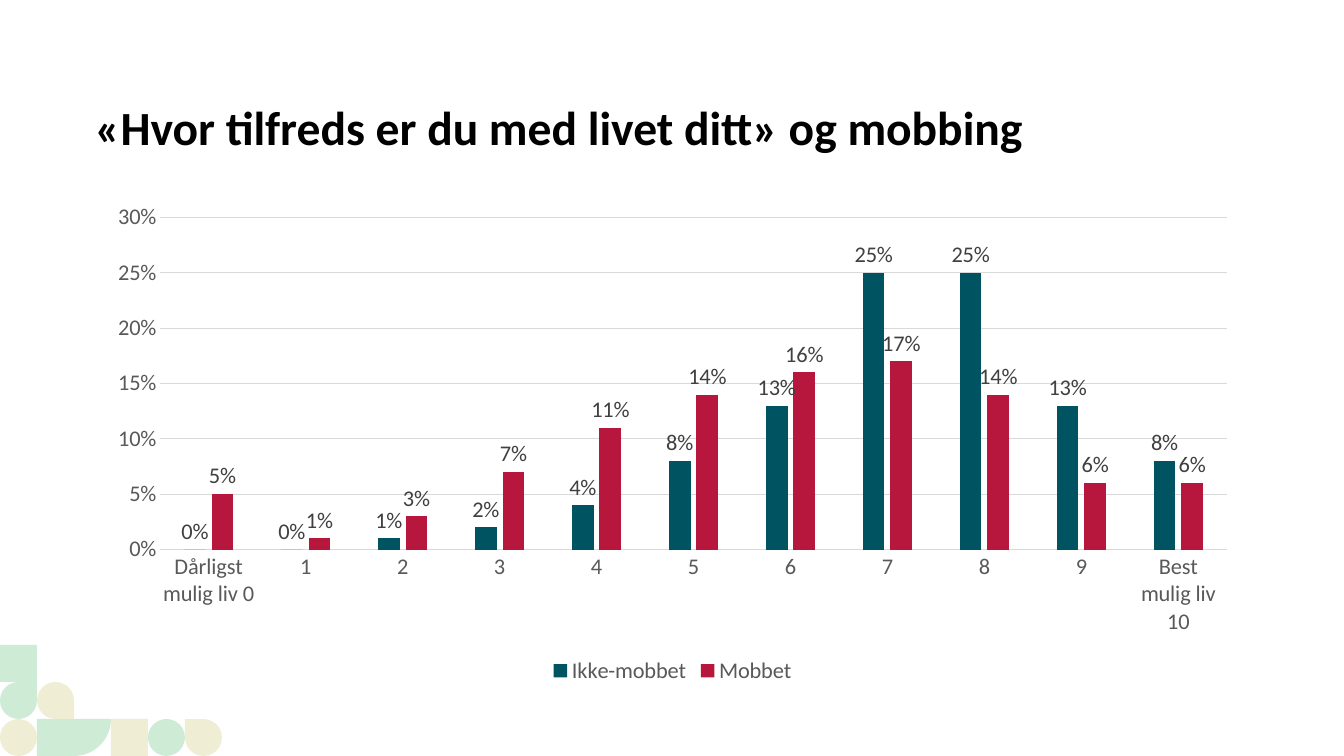
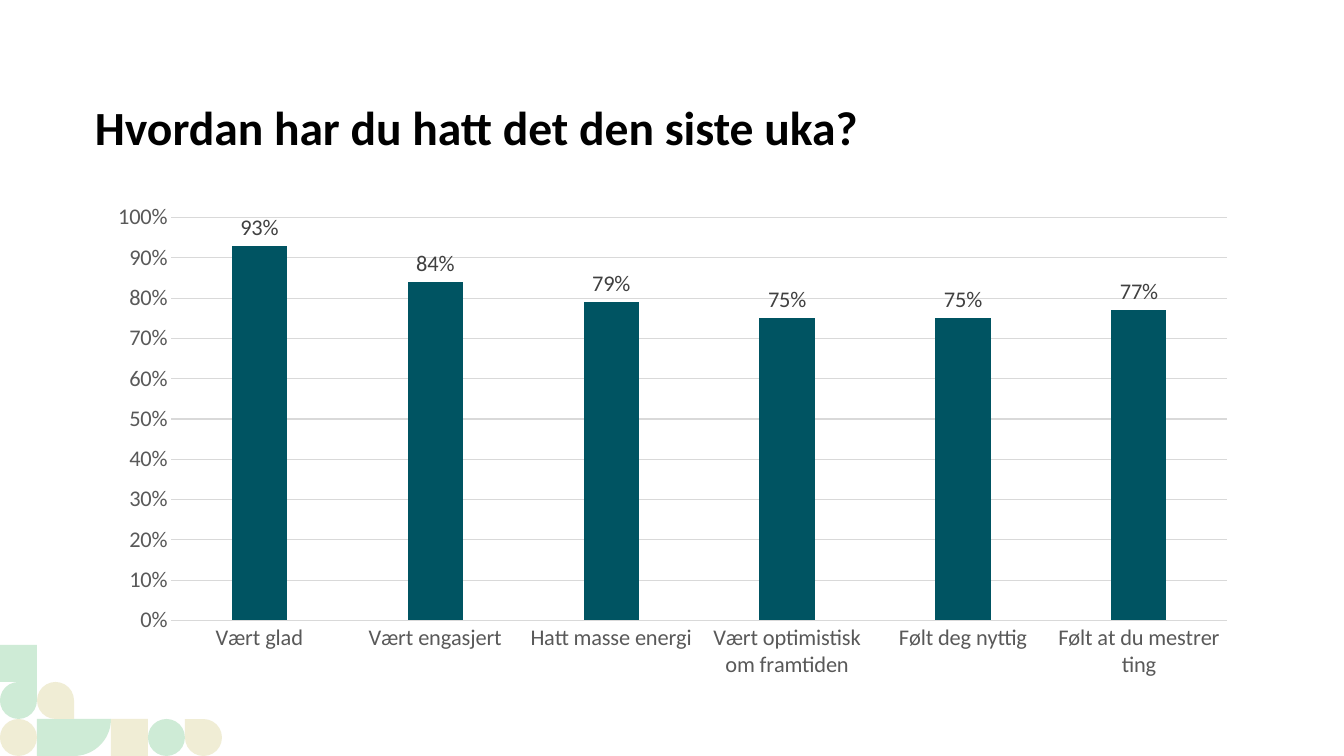
import math

import pptx
import pptx.chart.data
import pptx.dml.color
import pptx.enum.chart
import pptx.enum.shapes
import pptx.enum.text
import pptx.util

# Shared measures and styles
EMU_PER_PX = 914400 / 100.8
SLIDE_WIDTH, SLIDE_HEIGHT = 1344, 756
TITLE_AREA = (95, 98, 1155, 57)
CHART_AREA = (95, 194, 1155, 495)
TILE = 37
FONT = "Calibri"

RGBColor = pptx.dml.color.RGBColor
BLACK = RGBColor(0x00, 0x00, 0x00)
LABEL_GREY = RGBColor(0x40, 0x40, 0x40)
AXIS_GREY = RGBColor(0x59, 0x59, 0x59)
LINE_GREY = RGBColor(0xD9, 0xD9, 0xD9)
TEAL = RGBColor(0x00, 0x54, 0x62)
CRIMSON = RGBColor(0xB7, 0x17, 0x3D)
MINT = RGBColor(0xCE, 0xEB, 0xD6)
SAND = RGBColor(0xF0, 0xED, 0xD5)

SHAPE = pptx.enum.shapes.MSO_SHAPE
# Corner tiles: column, row counted up from the bottom, shape, colour, rotation
TILES = [
    (3, 0, SHAPE.RECTANGLE, SAND, 0),
    (0, 0, SHAPE.OVAL, SAND, 0),
    (4, 0, SHAPE.OVAL, MINT, 0),
    (0, 2, SHAPE.RECTANGLE, MINT, 0),
    (0, 1, SHAPE.TEAR, MINT, 0),
    (1, 1, SHAPE.TEAR, SAND, 90),
    (5, 0, SHAPE.TEAR, SAND, 270),
]


def px(length):
    return pptx.util.Emu(round(length * EMU_PER_PX))


def style_font(font, size, color, bold=False):
    font.name = FONT
    font.size = pptx.util.Pt(size)
    font.bold = bold
    font.color.rgb = color


def style_line(line, color):
    line.color.rgb = color
    line.width = pptx.util.Pt(0.75)


def paint(shape, color):
    shape.fill.solid()
    shape.fill.fore_color.rgb = color
    shape.line.fill.background()
    shape.shadow.inherit = False


def add_corner_pattern(page):
    shapes = page.shapes.add_group_shape().shapes
    # Two-tile wide piece with a rounded lower right corner
    left, top = TILE, SLIDE_HEIGHT - TILE
    center = left + TILE
    angles = [math.radians(degrees) for degrees in range(0, 91, 5)]
    points = [(center + TILE * math.cos(a), top + TILE * math.sin(a)) for a in angles]
    points.append((left, SLIDE_HEIGHT))
    builder = shapes.build_freeform(px(left), px(top))
    builder.add_line_segments([(px(x), px(y)) for x, y in points], close=True)
    paint(builder.convert_to_shape(), MINT)

    for column, row, kind, color, rotation in TILES:
        tile = shapes.add_shape(kind, px(column * TILE), px(SLIDE_HEIGHT - (row + 1) * TILE),
                                px(TILE), px(TILE))
        tile.rotation = rotation
        paint(tile, color)


def add_title(page, text):
    frame = page.shapes.add_textbox(*map(px, TITLE_AREA)).text_frame
    frame.word_wrap = True
    frame.vertical_anchor = pptx.enum.text.MSO_ANCHOR.BOTTOM
    frame.margin_left = frame.margin_top = frame.margin_right = frame.margin_bottom = 0
    para = frame.paragraphs[0]
    para.text = text
    style_font(para.font, 34, BLACK, bold=True)


def style_axes(chart, top_value, step, number_format):
    for axis in (chart.category_axis, chart.value_axis):
        axis.major_tick_mark = axis.minor_tick_mark = pptx.enum.chart.XL_TICK_MARK.NONE
        style_font(axis.tick_labels.font, 16, AXIS_GREY)
    chart.category_axis.has_major_gridlines = False
    style_line(chart.category_axis.format.line, LINE_GREY)

    values = chart.value_axis
    values.minimum_scale, values.maximum_scale, values.major_unit = 0, top_value, step
    values.has_major_gridlines = True
    style_line(values.major_gridlines.format.line, LINE_GREY)
    values.format.line.fill.background()
    values.tick_labels.number_format = number_format
    values.tick_labels.number_format_is_linked = False


def style_series(series, color, number_format):
    series.format.fill.solid()
    series.format.fill.fore_color.rgb = color
    series.invert_if_negative = False
    labels = series.data_labels
    labels.show_value = True
    labels.position = pptx.enum.chart.XL_LABEL_POSITION.OUTSIDE_END
    labels.number_format = number_format
    labels.number_format_is_linked = False
    style_font(labels.font, 16, LABEL_GREY)


def add_column_chart(page, categories, series_values, top_value, step, number_format):
    data = pptx.chart.data.CategoryChartData(number_format=number_format)
    data.categories = categories
    for name, percents in series_values.items():
        data.add_series(name, [percent / 100 for percent in percents])
    chart = page.shapes.add_chart(pptx.enum.chart.XL_CHART_TYPE.COLUMN_CLUSTERED,
                                  *map(px, CHART_AREA), data).chart
    chart.has_title = False
    style_font(chart.font, 16, BLACK)
    style_axes(chart, top_value, step, number_format)

    plot = chart.plots[0]
    plot.gap_width, plot.overlap = 219, -27
    plot.vary_by_categories = False
    for series, color in zip(plot.series, (TEAL, CRIMSON)):
        style_series(series, color, number_format)

    chart.has_legend = len(series_values) > 1
    if chart.has_legend:
        chart.legend.position = pptx.enum.chart.XL_LEGEND_POSITION.BOTTOM
        chart.legend.include_in_layout = False
        style_font(chart.legend.font, 16, AXIS_GREY)


def add_page(deck, title):
    page = deck.slides.add_slide(deck.slide_layouts[6])
    add_corner_pattern(page)
    add_title(page, title)
    return page


def main():
    deck = pptx.Presentation()
    deck.slide_width, deck.slide_height = px(SLIDE_WIDTH), px(SLIDE_HEIGHT)

    # Life satisfaction and bullying
    page = add_page(deck, "«Hvor tilfreds er du med livet ditt» og mobbing")
    add_column_chart(
        page,
        ["Dårligst mulig liv 0", *map(str, range(1, 10)), "Best mulig liv 10"],
        {
            "Ikke-mobbet": [0, 0, 1, 2, 4, 8, 13, 25, 25, 13, 8],
            "Mobbet": [5, 1, 3, 7, 11, 14, 16, 17, 14, 6, 6],
        },
        top_value=0.3, step=0.05, number_format="###0%")

    # The past week
    page = add_page(deck, "Hvordan har du hatt det den siste uka?")
    add_column_chart(
        page,
        ["Vært glad", "Vært engasjert", "Hatt masse energi",
         "Vært optimistisk om framtiden", "Følt deg nyttig", "Følt at du mestrer ting"],
        {"Series 1": [93, 84, 79, 75, 75, 77]},
        top_value=1, step=0.1, number_format="0%")

    deck.save("out.pptx")


if __name__ == "__main__":
    main()
